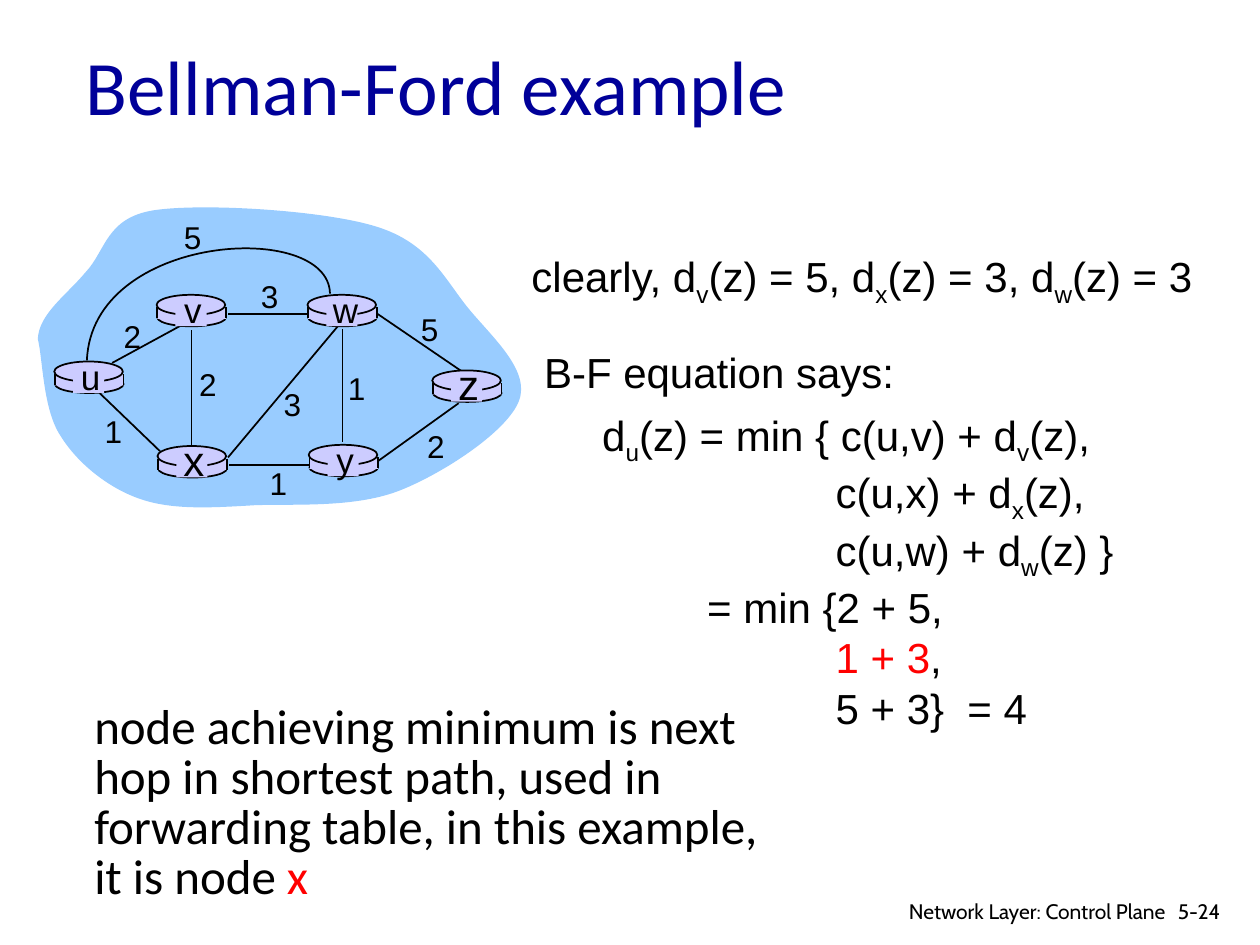
import pptx
import pptx.util
import pptx.dml.color
import pptx.enum.shapes
import pptx.enum.text
import pptx.oxml
import pptx.oxml.ns

Pt = pptx.util.Pt
SHAPE = pptx.enum.shapes.MSO_SHAPE
STRAIGHT = pptx.enum.shapes.MSO_CONNECTOR.STRAIGHT
ALIGN = pptx.enum.text.PP_ALIGN
qn = pptx.oxml.ns.qn
BLACK, RED, NAVY, SKY, LILAC = "000000", "FF0000", "000099", "99CCFF", "CCCCFF"


def paint(color_format, colour):
    color_format.rgb = pptx.dml.color.RGBColor.from_string(colour)


def write(frame, lines, size, font="Arial", colour=BLACK, align=ALIGN.LEFT, wrap=False):
    """Each line is (indent, runs split by |); _ starts a subscript, * a red run."""
    frame.word_wrap = wrap
    for number, (indent, runs) in enumerate(lines):
        paragraph = frame.add_paragraph() if number else frame.paragraphs[0]
        paragraph.alignment = align
        if indent:
            paragraph._p.get_or_add_pPr().set("marL", str(Pt(indent)))
        for part in runs.split("|"):
            run = paragraph.add_run()
            run.text = part.lstrip("_*")
            run.font.size, run.font.name = Pt(size), font
            paint(run.font.color, RED if part.startswith("*") else colour)
            if part.startswith("_"):
                run._r.get_or_add_rPr().set("baseline", "-25000")


deck = pptx.Presentation()
deck.slide_width, deck.slide_height = Pt(720), Pt(540)
slide = deck.slides.add_slide(deck.slide_layouts[5])

# Title
title = slide.shapes.title
title.left, title.top, title.width, title.height = Pt(41.8), Pt(13.7), Pt(612), Pt(69)
title.text_frame.vertical_anchor = pptx.enum.text.MSO_ANCHOR.MIDDLE
write(title.text_frame, [(0, "Bellman-Ford example")], 44, "Calibri", NAVY, wrap=True)

# Network cloud and the curved link u-w: a start, then three points per Bezier curve
network = slide.shapes.add_group_shape().shapes
cloud = [(21.6, 193.7),
         (22.3, 179.3), (38.2, 168.5), (49, 155.5),
         (60.5, 143.3), (60.5, 124.6), (87.8, 120.2),
         (115.9, 115.9), (185.8, 120.2), (215.3, 129.6),
         (245.5, 139), (254.2, 159.8), (267.8, 176.4),
         (281.5, 193), (303.1, 211.7), (296.6, 229),
         (290.2, 246.2), (254.2, 270), (229, 280.1),
         (203.8, 290.2), (170.6, 288), (146.2, 288.7),
         (121, 290.2), (98.6, 291.6), (79.9, 285.1),
         (61.2, 278.6), (43.9, 264.2), (34.6, 249.1),
         (24.5, 234), (24.5, 205.2), (21.6, 193.7)]
link_uw = [(188.6, 167.8), (187.9, 125.3), (52.6, 133.2), (49.7, 205.9)]
for points, closed in ((cloud, True), (link_uw, False)):
    corners = [(Pt(x), Pt(y)) for x, y in points]
    builder = network.build_freeform(*corners[0])
    builder.add_line_segments(corners[1:], close=closed)
    curve = builder.convert_to_shape()
    curve.shadow.inherit = False
    segments = list(curve._element.iter(qn("a:lnTo")))
    for first in range(0, len(points) - 1, 3):
        bezier = pptx.oxml.parse_xml(
            f'<a:cubicBezTo {pptx.oxml.ns.nsdecls("a")}/>')
        segments[first].addprevious(bezier)
        for segment in segments[first:first + 3]:
            bezier.append(segment[0])
            segment.getparent().remove(segment)
    if closed:
        curve.fill.solid()
        paint(curve.fill.fore_color, SKY)
        curve.line.fill.background()
    else:
        curve.fill.background()
        paint(curve.line.color, BLACK)
        curve.line.width = Pt(1)

# Straight links
links = [
    (64.1, 207.4, 106.6, 184.3),   # u-v
    (195.8, 187.9, 195.8, 252.7),  # w-y
    (109.4, 188.6, 109.4, 255.6),  # v-x
    (130.3, 261.4, 193, 186.5),    # x-w
    (216, 263.5, 262.1, 230.4),    # y-z
    (176.4, 265.7, 131, 265.7),    # y-x
    (91.4, 257.8, 56.9, 224.6),    # x-u
    (175.7, 179.3, 130.3, 179.3),  # w-v
    (264.2, 212.4, 214.6, 178.6),  # z-w
]
for ends in links:
    network.add_connector(STRAIGHT, *map(Pt, ends))

# Routers: bottom, sides, band, top, then a patch behind the letter
routers = [("u", 31, 206.6, 20), ("x", 90, 254.9, 24), ("v", 89.5, 168.5, 20),
           ("w", 175.7, 168.5, 20), ("y", 176.4, 254.2, 20), ("z", 247, 211.7, 24)]
router_parts = [(SHAPE.OVAL, 0.4, 7.9, 39.2, 10.1, True),
                (SHAPE.RECTANGLE, 0.4, 7.2, 39.2, 6.5, False),
                (SHAPE.OVAL, 0, 0, 39.2, 11.5, True),
                (SHAPE.RECTANGLE, 10.8, 1.4, 17.8, 16.5, False)]
for letter, left, top, size in routers:
    for kind, dx, dy, width, height, outlined in router_parts:
        part = network.add_shape(kind, Pt(left + dx), Pt(top + dy), Pt(width), Pt(height))
        part.shadow.inherit = False
        part.fill.solid()
        paint(part.fill.fore_color, LILAC)
        if outlined:
            paint(part.line.color, BLACK)
            part.line.width = Pt(1)
        else:
            part.line.fill.background()
    for side in (left + 0.4, left + 39.6):
        network.add_connector(STRAIGHT, Pt(side), Pt(top + 7.2), Pt(side), Pt(top + 13.5))
    rise, height = (10.4, 36) if size == 24 else (7, 31)
    name = network.add_textbox(Pt(left + 7.5), Pt(top - rise), Pt(26.6), Pt(height))
    write(name.text_frame, [(0, letter)], size, align=ALIGN.CENTER)

for item in network:
    if item.shape_type == pptx.enum.shapes.MSO_SHAPE_TYPE.LINE:
        paint(item.line.color, BLACK)
        item.line.width = Pt(1)
        item._element.spPr.append(pptx.oxml.parse_xml(
            f'<a:effectLst {pptx.oxml.ns.nsdecls("a")}/>'))

# Link costs
costs = [("2", 63.4, 177.8), ("2", 106.6, 205.2), ("1", 52.6, 231.8), ("3", 154.8, 216.7),
         ("1", 146.9, 261.4), ("1", 191.5, 207.4), ("2", 236.9, 240.5), ("5", 233.3, 173.5),
         ("3", 141.8, 154.8), ("5", 97.9, 121)]
for cost, left, top in costs:
    label = network.add_textbox(Pt(left), Pt(top), Pt(24.5), Pt(28.8))
    write(label.text_frame, [(0, cost)], 18, align=ALIGN.CENTER)

# Equations
EQUALS, TERMS = 60, 133.4
equations = [
    (296.6, 139.7, 397.4, 36,
     [(0, "clearly, d|_v|(z) = 5, d|_x|(z) = 3, d|_w|(z) = 3")]),
    (337, 230.4, 310.3, 181.4,
     [(0, "d|_u|(z) = min { c(u,v) + d|_v|(z),"),
      (TERMS, "c(u,x) + d|_x|(z),"),
      (TERMS, "c(u,w) + d|_w|(z) }"),
      (EQUALS, "= min {2 + 5,"),
      (TERMS, "*1 + 3|,"),
      (TERMS, "5 + 3}  = 4")]),
    (303.8, 194.4, 214.6, 36, [(0, "B-F equation says:")]),
]
for left, top, width, height, lines in equations:
    equation = slide.shapes.add_textbox(Pt(left), Pt(top), Pt(width), Pt(height))
    write(equation.text_frame, lines, 24)

# Conclusion
conclusion = slide.shapes.add_textbox(Pt(46.8), Pt(398.9), Pt(398.9), Pt(122.4))
write(conclusion.text_frame,
      [(0, "node achieving minimum is next hop in shortest path, used in "
           "forwarding table, in this example, it is node|* x")],
      28, "Calibri", wrap=True)
conclusion.text_frame.paragraphs[0].line_spacing = 0.85

# Footer
for text, left, width, height, align in (
        ("5-24", 666, 43.2, 21.6, ALIGN.LEFT),
        ("Network Layer: Control Plane", 501.8, 171.4, 18.7, ALIGN.RIGHT)):
    footer = slide.shapes.add_textbox(Pt(left), Pt(509.8), Pt(width), Pt(height))
    write(footer.text_frame, [(0, text)], 12, "Cabin", align=align, wrap=True)

deck.save("out.pptx")
